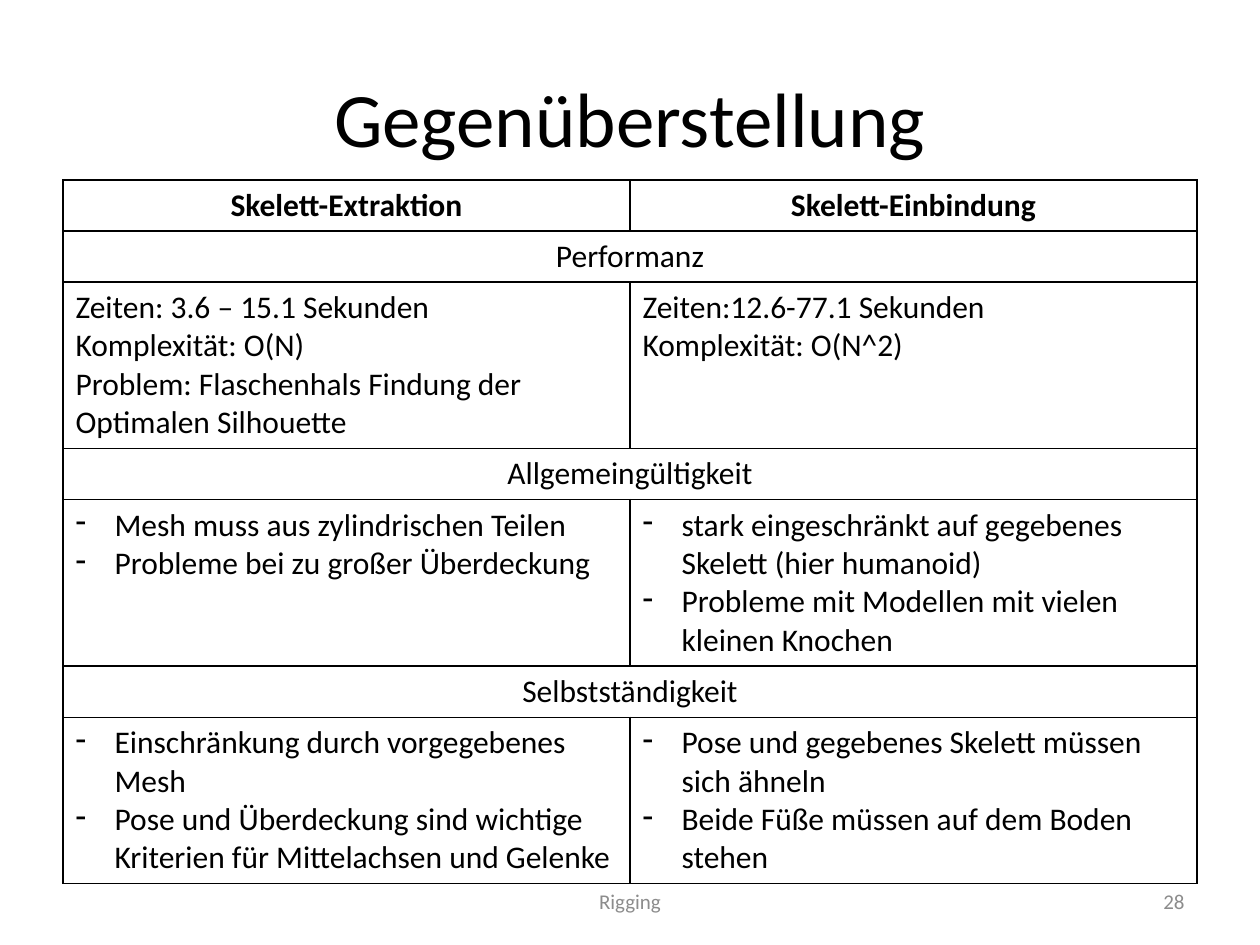
from lxml.etree import SubElement
from pptx import Presentation
from pptx.dml.color import RGBColor
from pptx.enum.text import MSO_ANCHOR as Anchor, PP_ALIGN as Align
from pptx.oxml.ns import qn
from pptx.util import Pt

EMU_PER_PX = 914400 / 126
FONT = "Calibri"
BLACK, WHITE, GREY = "000000", "FFFFFF", "8C8C8C"
LINE_ROW, TEXT_ROW = 51, 166
HANGING = 39

HEADINGS = ["Skelett-Extraktion", "Skelett-Einbindung"]
SECTIONS = [
    ("Performanz", False,
     ["Zeiten: 3.6 – 15.1 Sekunden",
      "Komplexität: O(N)",
      "Problem: Flaschenhals Findung der Optimalen Silhouette"],
     ["Zeiten:12.6-77.1 Sekunden",
      "Komplexität: O(N^2)"]),
    ("Allgemeingültigkeit", True,
     ["Mesh muss aus zylindrischen Teilen",
      "Probleme bei zu großer Überdeckung"],
     ["stark eingeschränkt auf gegebenes Skelett (hier humanoid)",
      "Probleme mit Modellen mit vielen kleinen Knochen"]),
    ("Selbstständigkeit", True,
     ["Einschränkung durch vorgegebenes Mesh",
      "Pose und Überdeckung sind wichtige Kriterien für Mittelachsen und Gelenke"],
     ["Pose und gegebenes Skelett müssen sich ähneln",
      "Beide Füße müssen auf dem Boden stehen"]),
]


def px(length):
    """Turn pixels into EMU."""
    return round(length * EMU_PER_PX)


def color(code):
    """Turn a hex string into a colour."""
    return RGBColor.from_string(code)


def write(frame, lines, size, code=BLACK, align=Align.LEFT, bold=False, dashed=False):
    """Fill a text frame with one formatted paragraph per line."""
    frame.word_wrap = True
    frame.text = "\n".join(lines)
    for para in frame.paragraphs:
        para.alignment = align
        if dashed:
            add_dash(para)
        for span in para.runs:
            span.font.name = FONT
            span.font.size = Pt(size)
            span.font.bold = bold
            span.font.color.rgb = color(code)


def add_dash(para):
    """Give a paragraph a dash bullet with a hanging indent."""
    props = para._p.get_or_add_pPr()
    props.set("marL", str(px(HANGING)))
    props.set("indent", str(-px(HANGING)))
    SubElement(props, qn("a:buFontTx"))
    SubElement(props, qn("a:buChar"), char="-")


def style_cell(cell):
    """Give a cell thin black borders and a white fill."""
    props = cell._tc.get_or_add_tcPr()
    for side in ("lnL", "lnR", "lnT", "lnB"):
        border = SubElement(props, qn(f"a:{side}"), w=str(Pt(1)))
        fill = SubElement(border, qn("a:solidFill"))
        SubElement(fill, qn("a:srgbClr"), val=BLACK)
    cell.fill.solid()
    cell.fill.fore_color.rgb = color(WHITE)


def place_title(page, left, top, width, height):
    """Move and format the title placeholder."""
    title = page.shapes.title
    title.left, title.top, title.width, title.height = map(px, (left, top, width, height))
    title.text_frame.vertical_anchor = Anchor.MIDDLE
    write(title.text_frame, ["Gegenüberstellung"], 44, align=Align.CENTER)


def place_comparison(page, left, top, width):
    """Build the table of two columns with a merged row above each section."""
    heights = [LINE_ROW] + [LINE_ROW, TEXT_ROW] * len(SECTIONS)
    frame = page.shapes.add_table(len(heights), len(HEADINGS), px(left), px(top),
                                  px(width), px(sum(heights)))
    table = frame.table
    table.first_row = table.horz_banding = False
    for row, height in zip(table.rows, heights):
        row.height = px(height)
    for cell in table.iter_cells():
        style_cell(cell)
    for column, heading in enumerate(HEADINGS):
        write(table.cell(0, column).text_frame, [heading], 18, align=Align.CENTER, bold=True)
    for index, (name, dashed, *columns) in enumerate(SECTIONS):
        row = 1 + 2 * index
        banner = table.cell(row, 0)
        banner.merge(table.cell(row, len(HEADINGS) - 1))
        write(banner.text_frame, [name], 18, align=Align.CENTER)
        for column, lines in enumerate(columns):
            write(table.cell(row + 1, column).text_frame, lines, 18, dashed=dashed)


def place_footer(page, text, align, left, top, width, height):
    """Add one grey footer text."""
    box = page.shapes.add_textbox(*map(px, (left, top, width, height)))
    box.text_frame.vertical_anchor = Anchor.MIDDLE
    write(box.text_frame, [text], 12, GREY, align)


def main():
    """Build and save the deck."""
    deck = Presentation()
    deck.slide_width, deck.slide_height = px(1260), px(945)
    page = deck.slides.add_slide(deck.slide_layouts[5])
    place_title(page, 63, 38, 1134, 157)
    place_comparison(page, 63, 180, 1134)
    place_footer(page, "Rigging", Align.CENTER, 430, 876, 400, 50)
    place_footer(page, "28", Align.RIGHT, 903, 876, 294, 50)
    deck.save("out.pptx")


if __name__ == "__main__":
    main()
